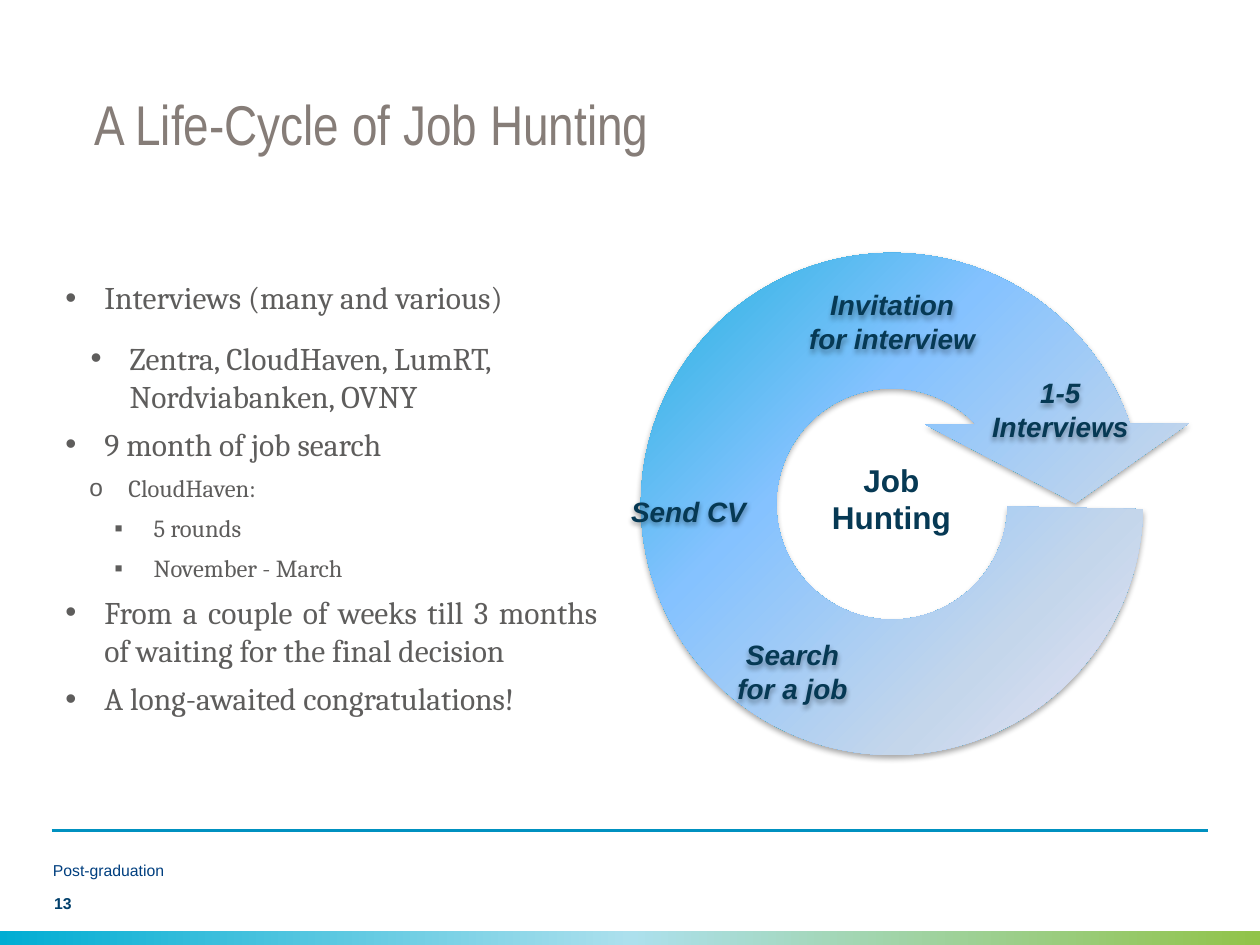
"""Build the job hunting life-cycle slide."""
from dataclasses import dataclass
from typing import Optional

from lxml.etree import SubElement
from pptx import Presentation
from pptx.dml.color import RGBColor
from pptx.enum.shapes import MSO_CONNECTOR, MSO_SHAPE
from pptx.enum.text import MSO_ANCHOR, PP_ALIGN
from pptx.oxml.ns import qn
from pptx.util import Inches, Pt

COLUMNS, ROWS = 100, 75
CELL = Inches(0.1)


@dataclass(frozen=True)
class Style:
    size: float
    color: str
    font: str = "Arial"
    bold: bool = False
    italic: bool = False


@dataclass(frozen=True)
class Theme:
    title: Style = Style(32, "867D78", "Arial Narrow")
    body: Style = Style(18, "5E5D5C", "Cambria")
    detail: Style = Style(14, "5E5D5C", "Cambria")
    hub: Style = Style(18, "063954", bold=True)
    stage: Style = Style(16, "063954", bold=True, italic=True)
    footer: Style = Style(9, "003F7F")
    number: Style = Style(9, "003F6B", bold=True)
    rule: str = "0091C0"
    band: tuple = ((0, "00ADD3"), (50, "ACE0ED"), (100, "91C349"))
    cycle: tuple = ((0, "00ADD3"), (40, "85C2FF"), (70, "C4D6EB"), (100, "FFEBFA"))


@dataclass(frozen=True)
class Area:
    column: float
    row: float
    columns: float
    rows: float

    def emu(self) -> list[int]:
        return [round(n * CELL) for n in (self.column, self.row, self.columns, self.rows)]


@dataclass(frozen=True)
class Label:
    text: str
    area: Area
    style: Style
    align: Optional[PP_ALIGN] = None
    shadow: bool = False


@dataclass(frozen=True)
class Point:
    text: str
    level: int
    margin: float
    bullet: str
    style: Style
    before: float = 6
    align: Optional[PP_ALIGN] = None


THEME = Theme()
CENTER = PP_ALIGN.CENTER

PAGE_LABELS = (
    Label("A Life-Cycle of Job Hunting", Area(7.5, 6.8, 80.6, 6), THEME.title),
    Label("Post-graduation", Area(4.2, 68.2, 61.5, 1.8), THEME.footer),
    Label("13", Area(4.3, 70.8, 23.3, 1.7), THEME.number),
)
CYCLE_LABELS = (
    Label("Job\vHunting", Area(63, 35.8, 15.5, 7.5), THEME.hub, CENTER),
    Label("Invitation\vfor interview", Area(55.2, 22.5, 31.2, 6), THEME.stage, CENTER, True),
    Label("Search\vfor a job", Area(54.9, 49.6, 16, 7.4), THEME.stage, CENTER, True),
    Label("1-5\nInterviews", Area(77.4, 28.8, 13.5, 7.4), THEME.stage, CENTER, True),
    Label("Send CV", Area(47.8, 38.2, 13.7, 4.7), THEME.stage, CENTER, True),
)
POINTS = (
    Point("Interviews (many and various)", 0, 3.1, "•", THEME.body, 0),
    Point("Zentra, CloudHaven, LumRT, Nordviabanken, OVNY", 1, 5.1, "•", THEME.body, 13),
    Point("9 month of job search", 1, 3.1, "•", THEME.body),
    Point("CloudHaven:", 2, 5, "o", THEME.detail),
    Point("5 rounds", 3, 7, "▪", THEME.detail),
    Point("November - March", 3, 7, "▪", THEME.detail),
    Point("From a couple of weeks till 3 months of waiting for the final decision",
          1, 3.1, "•", THEME.body, align=PP_ALIGN.JUSTIFY),
    Point("A long-awaited congratulations!", 1, 3.1, "•", THEME.body),
)


def style_runs(paragraph, style: Style) -> None:
    for run in paragraph.runs:
        font = run.font
        font.name, font.size = style.font, Pt(style.size)
        font.bold, font.italic = style.bold, style.italic
        font.color.rgb = RGBColor.from_string(style.color)


def cast_shadow(shape) -> None:
    shape.shadow.inherit = False
    effects = shape._element.spPr.find(qn("a:effectLst"))
    outer = SubElement(effects, qn("a:outerShdw"), blurRad=str(Pt(3.1)),
                       dist=str(Pt(1.8)), dir="5400000", rotWithShape="0")
    color = SubElement(outer, qn("a:srgbClr"), val="000000")
    SubElement(color, qn("a:alpha"), val="35000")


def add_gradient_shape(shapes, kind: MSO_SHAPE, area: Area, stops: tuple, angle: float):
    shape = shapes.add_shape(kind, *area.emu())
    shape.shadow.inherit = False
    shape.line.fill.background()
    shape.fill.gradient()
    shape.fill.gradient_angle = angle
    stop_list = shape._element.spPr.find(qn("a:gradFill")).find(qn("a:gsLst"))
    for old_stop in list(stop_list):
        stop_list.remove(old_stop)
    for position, color in stops:
        stop = SubElement(stop_list, qn("a:gs"), pos=str(position * 1000))
        SubElement(stop, qn("a:srgbClr"), val=color)
    return shape


def add_label(shapes, label: Label) -> None:
    box = shapes.add_textbox(*label.area.emu())
    frame = box.text_frame
    frame.text = label.text
    frame.word_wrap = True
    frame.vertical_anchor = MSO_ANCHOR.MIDDLE
    frame.margin_left = frame.margin_right = frame.margin_top = frame.margin_bottom = 0
    for paragraph in frame.paragraphs:
        paragraph.alignment = label.align
        style_runs(paragraph, label.style)
    if label.shadow:
        cast_shadow(box)


def add_points(shapes, area: Area, points: tuple[Point, ...]) -> None:
    frame = shapes.add_textbox(*area.emu()).text_frame
    frame.text = "\n".join(point.text for point in points)
    frame.word_wrap = True
    for paragraph, point in zip(frame.paragraphs, points):
        paragraph.level, paragraph.alignment = point.level, point.align
        paragraph.space_before = Pt(point.before)
        properties = paragraph._p.get_or_add_pPr()
        properties.set("marL", str(round(point.margin * CELL)))
        properties.set("indent", str(round(-3.1 * CELL)))
        bullet_color = SubElement(properties, qn("a:buClr"))
        SubElement(bullet_color, qn("a:srgbClr"), val=point.style.color)
        SubElement(properties, qn("a:buFont"), typeface="Arial")
        SubElement(properties, qn("a:buChar"), char=point.bullet)
        style_runs(paragraph, point.style)


def add_rule(shapes, row: float, start: float, end: float) -> None:
    left, top, right, _ = Area(start, row, end, 0).emu()
    rule = shapes.add_connector(MSO_CONNECTOR.STRAIGHT, left, top, right, top)
    rule.line.color.rgb = RGBColor.from_string(THEME.rule)
    rule.line.width = Pt(1.42)
    SubElement(rule._element.spPr, qn("a:effectLst"))


def add_cycle(shapes) -> None:
    cycle = shapes.add_group_shape().shapes
    arrow = add_gradient_shape(cycle, MSO_SHAPE.CIRCULAR_ARROW,
                               Area(45.8, 15, 50, 50), THEME.cycle, 315)
    for index, value in enumerate((0.215, 15.367, 200.485, 0.718, 0.209)):
        arrow.adjustments[index] = value
    cast_shadow(arrow)
    for label in CYCLE_LABELS:
        add_label(cycle, label)


def main() -> None:
    deck = Presentation()
    deck.slide_width, deck.slide_height = COLUMNS * CELL, ROWS * CELL
    shapes = deck.slides.add_slide(deck.slide_layouts[6]).shapes
    add_rule(shapes, 65.9, 4.1, 95.9)
    add_gradient_shape(shapes, MSO_SHAPE.RECTANGLE, Area(0, 73.9, COLUMNS, 1.1), THEME.band, 0)
    for label in PAGE_LABELS:
        add_label(shapes, label)
    add_cycle(shapes)
    add_points(shapes, Area(4.2, 21.6, 44.2, 41.6), POINTS)
    deck.save("out.pptx")


if __name__ == "__main__":
    main()
